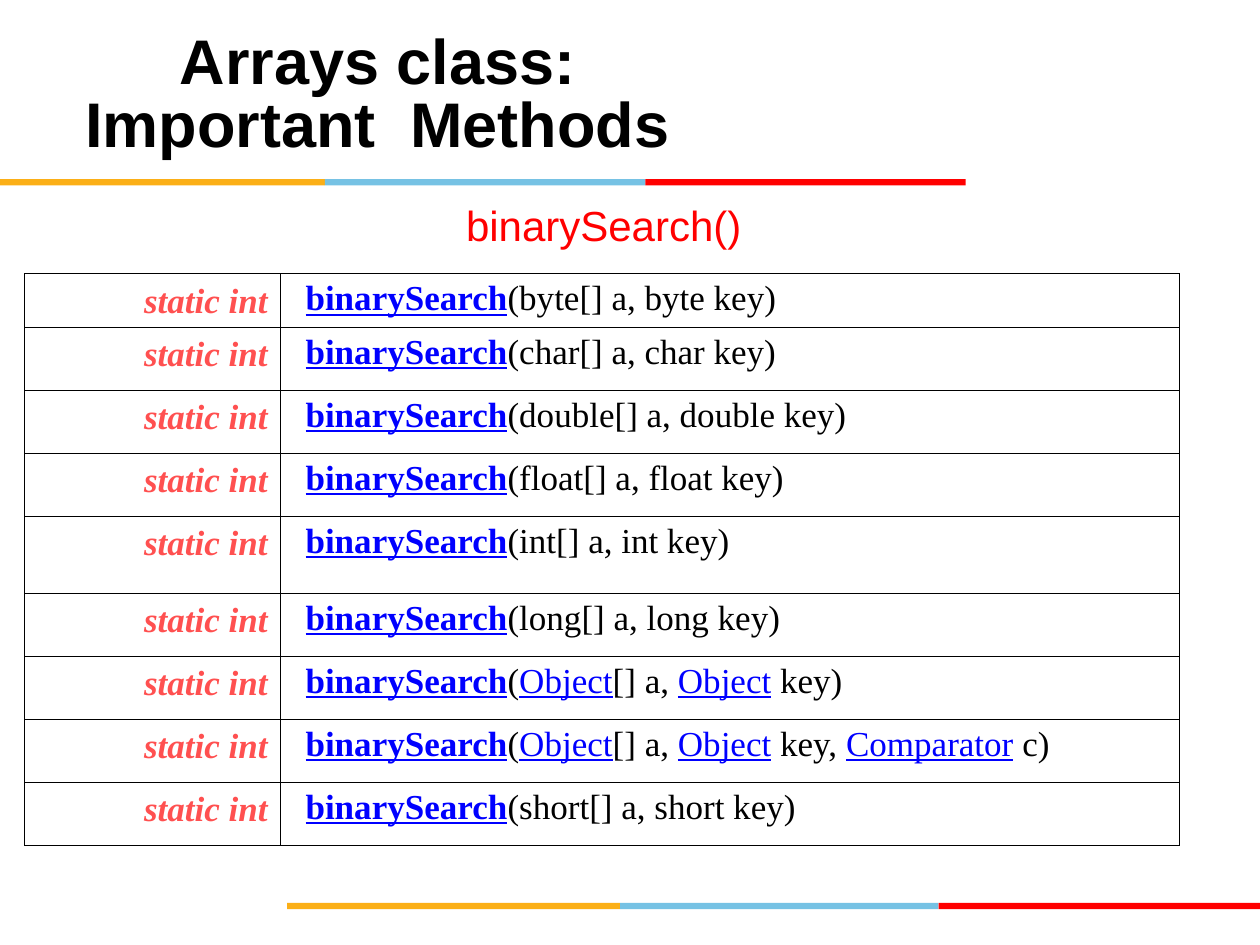
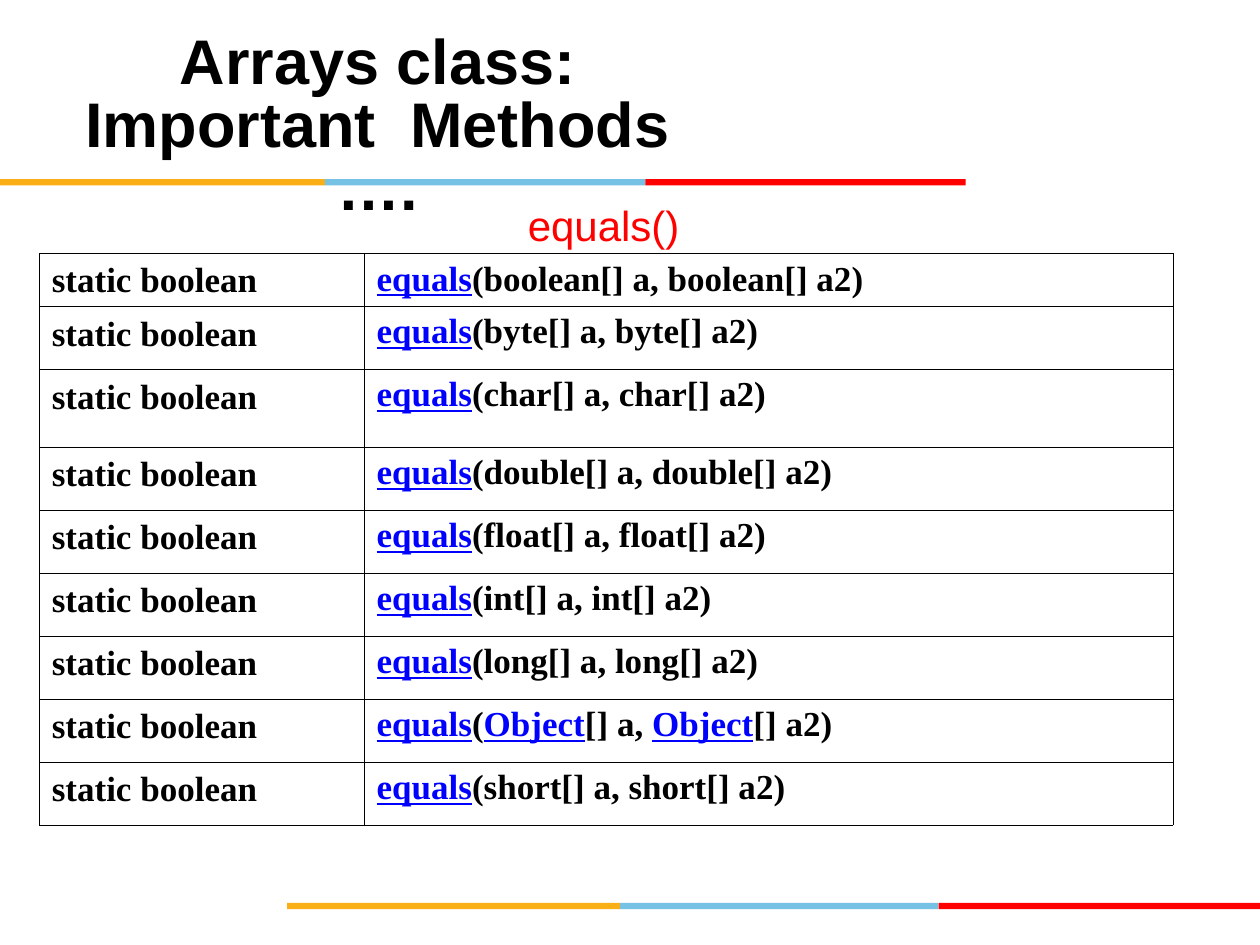
"""Build two slides that list the overloads of two Arrays methods."""
from lxml import etree
from pptx import Presentation
from pptx.dml.color import RGBColor
from pptx.enum.shapes import MSO_SHAPE
from pptx.enum.text import MSO_ANCHOR, MSO_AUTO_SIZE, PP_ALIGN
from pptx.oxml.ns import qn
from pptx.util import Cm, Pt

RECTANGLE = MSO_SHAPE.RECTANGLE
TOP = MSO_ANCHOR.TOP
NO_FIT = MSO_AUTO_SIZE.NONE
LEFT, CENTER, RIGHT = PP_ALIGN.LEFT, PP_ALIGN.CENTER, PP_ALIGN.RIGHT

BLACK, RED, CORAL, LINK = "000000", "FF0000", "FF5050", "0000FF"
BAND_COLORS = ["FBAF17", "76C2E4", RED]
BANDS = [
    {"top": 3.61, "height": 0.13, "edges": [0, 6.55, 13.01, 19.47]},
    {"top": 18.2, "height": 0.13, "edges": [5.79, 12.5, 18.92, 25.4]},
]
HEADING_CENTER = 12.2
ROW_HEIGHT, ROW_SPACE, LINE_HEIGHT = 1.27, 5.4, 23.4

# Words between bars in a signature are shown as links.
SLIDES = [
    {
        "title": "Arrays class: Important  Methods",
        "title_height": 2.87,
        "method": "binarySearch",
        "heading_width": 5.61,
        "returns": "static int",
        "return_style": {"color": CORAL, "bold": True, "italic": True},
        "return_align": RIGHT,
        "bold_signature": False,
        "signature_margin": 0.51,
        "table_at": (0.49, 5.51),
        "columns": [5.16, 18.13],
        "first_row": {"height": 0.99, "space": 1.4, "line": 23.4},
        "tall_row": {"index": 4, "height": 1.55, "space": 9.2},
        "signatures": [
            "(byte[] a, byte key)",
            "(char[] a, char key)",
            "(double[] a, double key)",
            "(float[] a, float key)",
            "(int[] a, int key)",
            "(long[] a, long key)",
            "(|Object|[] a, |Object| key)",
            "(|Object|[] a, |Object| key, |Comparator| c)",
            "(short[] a, short key)",
        ],
    },
    {
        "title": "Arrays class: Important  Methods ….",
        "title_height": 4.09,
        "method": "equals",
        "heading_width": 3.12,
        "returns": "static boolean",
        "return_style": {"color": BLACK, "bold": True},
        "return_align": LEFT,
        "bold_signature": True,
        "signature_margin": 0.25,
        "table_at": (0.79, 5.11),
        "columns": [6.55, 16.31],
        "first_row": {"height": 0.84, "space": 0, "line": 23},
        "tall_row": {"index": 2, "height": 1.57, "space": 9.8},
        "signatures": [
            "(boolean[] a, boolean[] a2)",
            "(byte[] a, byte[] a2)",
            "(char[] a, char[] a2)",
            "(double[] a, double[] a2)",
            "(float[] a, float[] a2)",
            "(int[] a, int[] a2)",
            "(long[] a, long[] a2)",
            "(|Object|[] a, |Object|[] a2)",
            "(short[] a, short[] a2)",
        ],
    },
]


def rgb(color):
    return RGBColor.from_string(color)


def format_span(span, color, size=20, font="Times New Roman", bold=False, italic=False, underline=False):
    span.font.name, span.font.size = font, Pt(size)
    span.font.bold, span.font.italic, span.font.underline = bold, italic, underline
    span.font.color.rgb = rgb(color)


def clear_insets(frame, top):
    frame.margin_left = frame.margin_right = frame.margin_bottom = 0
    frame.margin_top = Cm(top)
    frame.word_wrap = True
    frame.vertical_anchor = TOP
    frame.auto_size = NO_FIT


def add_bands(page, layout):
    number = 100
    for band in BANDS:
        edges = band["edges"]
        for left, right, color in zip(edges, edges[1:], BAND_COLORS):
            bar = page.shapes.add_shape(
                RECTANGLE, Cm(left), Cm(band["top"]), Cm(right - left), Cm(band["height"]))
            bar.shadow.inherit = False
            bar.fill.solid()
            bar.fill.fore_color.rgb = rgb(color)
            bar.line.fill.background()
            bar.element.nvSpPr.cNvPr.set("id", str(number))
            layout.shapes.element.append(bar.element)
            number += 1


def add_title(page, content):
    title = page.shapes.title
    title.left, title.top = Cm(1.07), Cm(0.41)
    title.width, title.height = Cm(13.08), Cm(content["title_height"])
    clear_insets(title.text_frame, 0.28)
    title.text_frame.text = content["title"]
    para = title.text_frame.paragraphs[0]
    para.alignment, para.line_spacing, para.space_before = CENTER, Pt(36), Pt(8.2)
    format_span(para.runs[0], BLACK, 36, "Arial", bold=True)


def add_heading(page, content):
    width = content["heading_width"]
    box = page.shapes.add_textbox(Cm(HEADING_CENTER - width / 2), Cm(3.99), Cm(width), Cm(1.04))
    clear_insets(box.text_frame, 0.03)
    box.text_frame.text = content["method"] + "()"
    para = box.text_frame.paragraphs[0]
    para.space_before = Pt(1)
    format_span(para.runs[0], RED, 24, "Arial")


def outline_cell(cell):
    cell.fill.background()
    properties = cell._tc.get_or_add_tcPr()
    for position, side in enumerate(["a:lnL", "a:lnR", "a:lnT", "a:lnB"]):
        line = etree.Element(qn(side), w=str(Pt(0.34)))
        fill = etree.SubElement(line, qn("a:solidFill"))
        etree.SubElement(fill, qn("a:srgbClr"), val=BLACK)
        properties.insert(position, line)


def fill_signature(para, content, signature):
    bold = content["bold_signature"]
    span = para.add_run()
    span.text = content["method"]
    format_span(span, LINK, bold=True, underline=True)
    for index, text in enumerate(signature.split("|")):
        linked = index % 2 == 1
        span = para.add_run()
        span.text = text
        format_span(span, LINK if linked else BLACK, bold=bold, underline=linked)


def add_method_table(page, content):
    signatures, tall = content["signatures"], content["tall_row"]
    rows = [{"height": ROW_HEIGHT, "space": ROW_SPACE, "line": LINE_HEIGHT} for _ in signatures]
    rows[0] = content["first_row"]
    rows[tall["index"]].update(height=tall["height"], space=tall["space"])
    left, top = content["table_at"]
    table = page.shapes.add_table(
        len(rows), 2, Cm(left), Cm(top), Cm(sum(content["columns"])),
        Cm(sum(row["height"] for row in rows))).table
    table.first_row = table.horz_banding = False
    for column, width in zip(table.columns, content["columns"]):
        column.width = Cm(width)
    for index, (row, signature) in enumerate(zip(rows, signatures)):
        table.rows[index].height = Cm(row["height"])
        return_cell, signature_cell = table.rows[index].cells
        outline_cell(return_cell)
        outline_cell(signature_cell)
        return_cell.text_frame.text = content["returns"]
        para = return_cell.text_frame.paragraphs[0]
        para.alignment, para.line_spacing = content["return_align"], Pt(row["line"])
        format_span(para.runs[0], **content["return_style"])
        signature_cell.margin_left = Cm(content["signature_margin"])
        para = signature_cell.text_frame.paragraphs[0]
        para.space_before = Pt(row["space"])
        fill_signature(para, content, signature)


def main():
    deck = Presentation()
    deck.slide_width, deck.slide_height = Cm(25.4), Cm(19.05)
    layout = deck.slide_layouts[5]
    for content in SLIDES:
        page = deck.slides.add_slide(layout)
        add_title(page, content)
        add_method_table(page, content)
        add_heading(page, content)
    add_bands(deck.slides[0], layout)
    deck.save("out.pptx")


if __name__ == "__main__":
    main()
